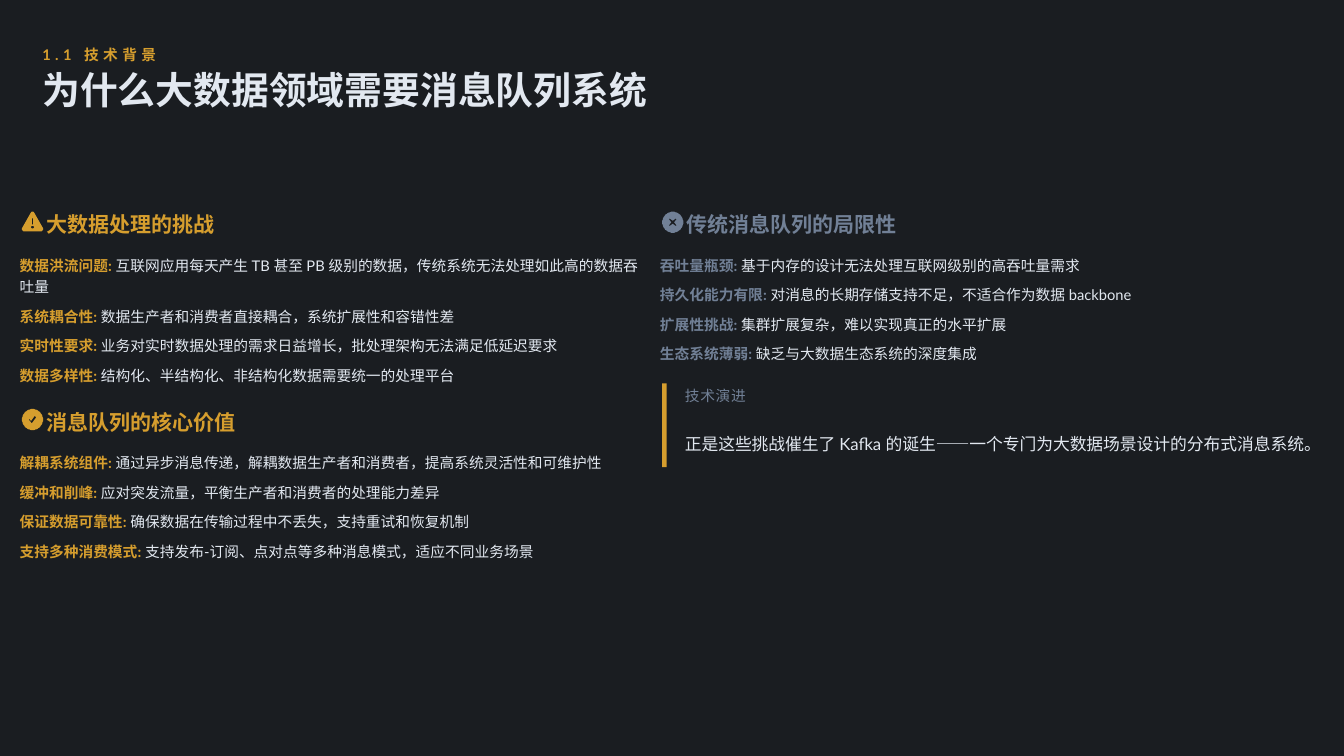
import math
from dataclasses import dataclass

from pptx import Presentation
from pptx.dml.color import RGBColor
from pptx.enum.shapes import MSO_SHAPE
from pptx.enum.text import MSO_ANCHOR, MSO_AUTO_SIZE, PP_ALIGN
from pptx.util import Inches, Pt

RECTANGLE = MSO_SHAPE.RECTANGLE
MIDDLE = MSO_ANCHOR.MIDDLE
LEFT = PP_ALIGN.LEFT
NO_AUTOFIT = MSO_AUTO_SIZE.NONE

BACKGROUND = RGBColor(0x1A, 0x1D, 0x21)
GOLD = RGBColor(0xD6, 0x9E, 0x2E)
SLATE = RGBColor(0x71, 0x80, 0x96)
LIGHT = RGBColor(0xE2, 0xE8, 0xF0)

FONT = "Lato"
LEFT_COLUMN, RIGHT_COLUMN = 0.26, 8.73
TOP_ROW, LOWER_ROW = 2.74, 5.35
LINE_HEIGHT, ITEM_GAP = 0.28, 0.11

Points = list[tuple[float, float]]


@dataclass
class Span:
    text: str
    size: float
    color: RGBColor
    bold: bool = False
    spacing: float = 0


@dataclass
class Item:
    label: str
    text: str
    lines: int = 1


@dataclass
class Section:
    left: float
    top: float
    color: RGBColor
    icon: list[Points]
    heading: str
    items: list[Item]


def circle(center_x: float, center_y: float, radius: float, steps: int = 48) -> Points:
    angles = [2 * math.pi * step / steps for step in range(steps)]
    return [(center_x + radius * math.cos(a), center_y + radius * math.sin(a)) for a in angles]


# Icon contours in hundredths of an inch: the outer edge, then its holes.
DISC = circle(14, 14, 13.8)
WARNING_ICON = [
    [(12, 1), (13, 0.2), (14, 0), (15, 0.2), (16, 1), (27.5, 22), (27.7, 23.5),
     (27, 25), (25.5, 25.8), (2.5, 25.8), (1, 25), (0.3, 23.5), (0.5, 22)],
    [(12.7, 9), (15.3, 9), (15.3, 17), (12.7, 17)],
    circle(14, 20.5, 1.7, 16),
]
CHECK_ICON = [
    DISC,
    [(8.7, 14.5), (10.2, 13), (12.5, 15.5), (17.2, 9.2), (19, 10.7), (12.7, 19)],
]
CROSS_ICON = [
    DISC,
    [(8.8, 10.4), (10.4, 8.8), (14, 12.4), (17.6, 8.8), (19.2, 10.4), (15.6, 14),
     (19.2, 17.6), (17.6, 19.2), (14, 15.6), (10.4, 19.2), (8.8, 17.6), (12.4, 14)],
]

SECTIONS = [
    Section(LEFT_COLUMN, TOP_ROW, GOLD, WARNING_ICON, "大数据处理的挑战", [
        Item("数据洪流问题:", "互联网应用每天产生 TB 甚至 PB 级别的数据，传统系统无法处理如此高的数据吞吐量", 2),
        Item("系统耦合性:", "数据生产者和消费者直接耦合，系统扩展性和容错性差"),
        Item("实时性要求:", "业务对实时数据处理的需求日益增长，批处理架构无法满足低延迟要求"),
        Item("数据多样性:", "结构化、半结构化、非结构化数据需要统一的处理平台"),
    ]),
    Section(LEFT_COLUMN, LOWER_ROW, GOLD, CHECK_ICON, "消息队列的核心价值", [
        Item("解耦系统组件:", "通过异步消息传递，解耦数据生产者和消费者，提高系统灵活性和可维护性"),
        Item("缓冲和削峰:", "应对突发流量，平衡生产者和消费者的处理能力差异"),
        Item("保证数据可靠性:", "确保数据在传输过程中不丢失，支持重试和恢复机制"),
        Item("支持多种消费模式:", "支持发布-订阅、点对点等多种消息模式，适应不同业务场景"),
    ]),
    Section(RIGHT_COLUMN, TOP_ROW, SLATE, CROSS_ICON, "传统消息队列的局限性", [
        Item("吞吐量瓶颈:", "基于内存的设计无法处理互联网级别的高吞吐量需求"),
        Item("持久化能力有限:", "对消息的长期存储支持不足，不适合作为数据 backbone"),
        Item("扩展性挑战:", "集群扩展复杂，难以实现真正的水平扩展"),
        Item("生态系统薄弱:", "缺乏与大数据生态系统的深度集成"),
    ]),
]


def fill_text(box, spans: list[Span], line_spacing: float) -> None:
    frame = box.text_frame
    frame_format = {
        "margin_left": 0, "margin_right": 0, "margin_top": 0, "margin_bottom": 0,
        "word_wrap": True, "auto_size": NO_AUTOFIT, "vertical_anchor": MIDDLE,
    }
    for name, value in frame_format.items():
        setattr(frame, name, value)
    para = frame.paragraphs[0]
    para.alignment = LEFT
    para.line_spacing = line_spacing
    for span in spans:
        run = para.add_run()
        run.text = span.text
        for name, value in {"name": FONT, "size": Pt(span.size), "bold": span.bold}.items():
            setattr(run.font, name, value)
        run.font.color.rgb = span.color
        if span.spacing:
            run._r.get_or_add_rPr().set("spc", str(round(span.spacing * 100)))


def add_text(page, left: float, top: float, width: float, height: float,
             spans: list[Span], line_spacing: float = 1.2) -> None:
    box = page.shapes.add_textbox(Inches(left), Inches(top), Inches(width), Inches(height))
    fill_text(box, spans, line_spacing)


def paint(shape, color: RGBColor) -> None:
    shape.shadow.inherit = False
    shape.fill.solid()
    shape.fill.fore_color.rgb = color
    shape.line.fill.background()


def add_icon(page, left: float, top: float, contours: list[Points], color: RGBColor) -> None:
    builder = page.shapes.build_freeform(*contours[0][0], scale=Inches(0.01))
    for index, contour in enumerate(contours):
        if index:
            builder.move_to(*contour[0])
        builder.add_line_segments(contour[1:], close=True)
    paint(builder.convert_to_shape(Inches(left), Inches(top)), color)


def add_section(page, section: Section) -> None:
    left, top, color = section.left, section.top, section.color
    add_icon(page, left + 0.03, top + 0.06, section.icon, color)
    add_text(page, left + 0.35, top, 7.99, 0.39, [Span(section.heading, 20, color, True)])
    top += 0.61
    for item in section.items:
        height = item.lines * LINE_HEIGHT
        add_text(page, left, top, 8.29, height,
                 [Span(item.label, 14, color, True), Span(f" {item.text}", 14, LIGHT)])
        top += height + ITEM_GAP


def add_title(page, text: str) -> None:
    title = page.shapes.title
    place = {"left": 0.56, "top": 0.94, "width": 16.92, "height": 0.56}
    for name, value in place.items():
        setattr(title, name, Inches(value))
    fill_text(title, [Span(text, 36, LIGHT, True)], 0.9)


def add_callout(page, left: float, top: float, label: str, text: str) -> None:
    bar = page.shapes.add_shape(RECTANGLE, Inches(left), Inches(top), Inches(0.06), Inches(1.11))
    paint(bar, GOLD)
    add_text(page, left + 0.3, top, 7.96, LINE_HEIGHT, [Span(label, 14, SLATE, spacing=0.7)])
    add_text(page, left + 0.3, top + 0.39, 8.66, 0.72, [Span(text, 16, LIGHT)], 1.4)


def main() -> None:
    deck = Presentation()
    deck.slide_width, deck.slide_height = Inches(17.78), Inches(10)
    page = deck.slides.add_slide(deck.slide_layouts.get_by_name("Title Only"))
    page.background.fill.solid()
    page.background.fill.fore_color.rgb = BACKGROUND

    add_text(page, 0.56, 0.56, 16.76, 0.28, [Span("1.1 技术背景", 14, GOLD, True, 4.2)])
    add_title(page, "为什么大数据领域需要消息队列系统")
    for section in SECTIONS:
        add_section(page, section)
    add_callout(page, 8.76, 5.07, "技术演进",
                "正是这些挑战催生了 Kafka 的诞生——一个专门为大数据场景设计的分布式消息系统。")
    deck.save("out.pptx")


if __name__ == "__main__":
    main()
